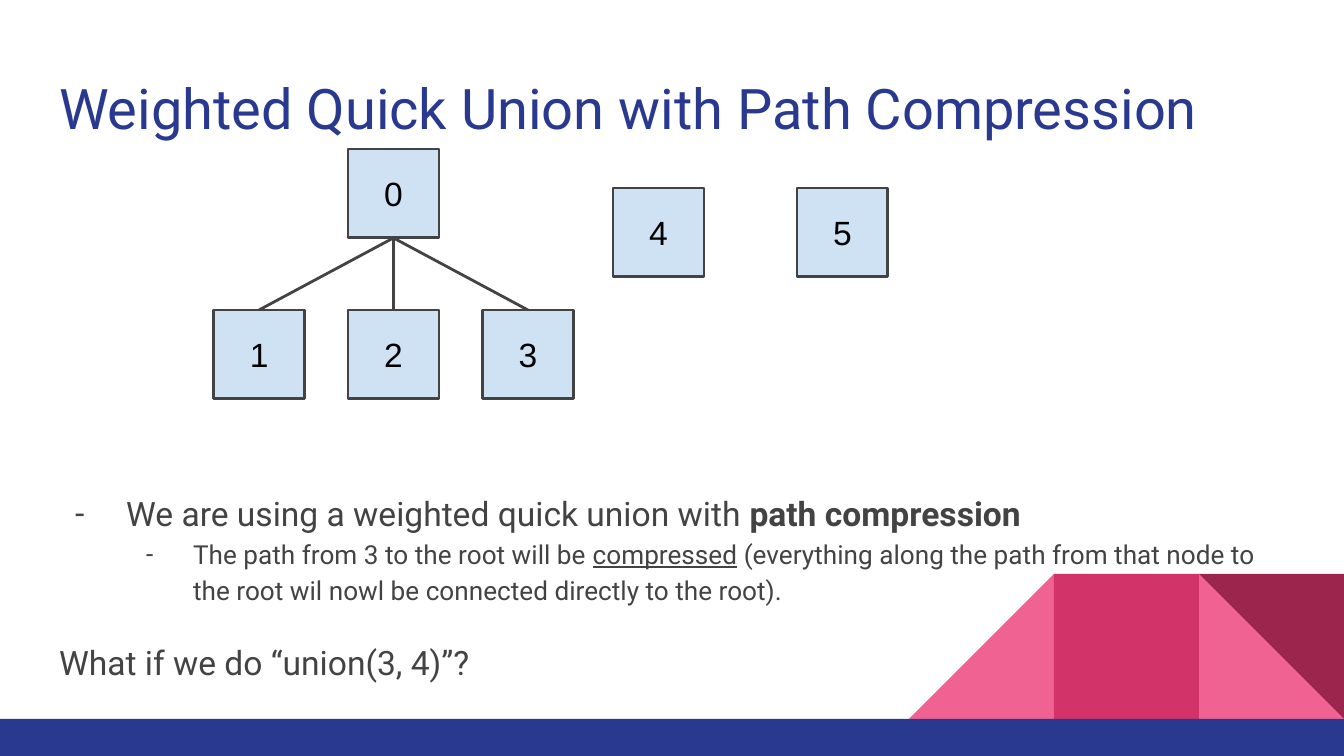
from lxml import etree
from pptx import Presentation
from pptx import util as u
from pptx.dml.color import RGBColor
from pptx.enum import shapes, text
from pptx.oxml.ns import qn

# Content
TITLE = "Weighted Quick Union with Path Compression"
# (level, size, dash, [(words, style)])
BODY = [
    (0, 18, True, [("We are using a weighted quick union with ", ""),
                   ("path compression", "bold")]),
    (1, 14, True, [("The path from 3 to the root will be ", ""),
                   ("compressed", "underline"),
                   (" (everything along the path from that node to the root "
                    "wil nowl be connected directly to the root).", "")]),
    (0, 18, False, [("What if we do “union(3, 4)”?", "")]),
]
INDENT = [(67, -51), (134, -47)]  # left margin and hang by level, px
STEP, ROOT, LOW = 134.4, 348, 310
NODES = {"0": (ROOT, 149), "4": (613, 188), "5": (797, 188)}
KIDS = ["1", "2", "3"]
for i, kid in enumerate(KIDS):
    NODES[kid] = (ROOT + (i - 1) * STEP, LOW)
NODE_W, NODE_H = 91, 89
HEX = {"navy": "2A3990", "pink": "F06292", "rose": "D23369", "wine": "9C254D",
       "sky": "CFE2F3", "gray": "434343", "black": "000000"}
SIDE, DECO_X, DECO_Y = 145, 909, 574
# (column, preset, turn, colour)
DECO = [(2, "RIGHT_TRIANGLE", 0, "pink"), (0, "RIGHT_TRIANGLE", 270, "pink"),
        (1, "RECTANGLE", 0, "rose"), (2, "RIGHT_TRIANGLE", 180, "wine")]


def px(n):
    return u.Emu(round(n * 914400 / 134.4))


def rgb(name):
    return RGBColor.from_string(HEX[name])


def shape(kind, x, y, w, h, fill):
    s = slide.shapes.add_shape(getattr(shapes.MSO_SHAPE, kind),
                               px(x), px(y), px(w), px(h))
    s.shadow.inherit = False
    s.fill.solid()
    s.fill.fore_color.rgb = rgb(fill)
    s.line.fill.background()
    return s


def frame(s):
    tf = s.text_frame
    tf.word_wrap = True
    tf.margin_left = tf.margin_right = u.Inches(0.1)
    tf.margin_top = tf.margin_bottom = u.Inches(0.1)
    return tf


def box(x, y, w, h):
    return frame(slide.shapes.add_textbox(px(x), px(y), px(w), px(h)))


def add(para, words, size, face, color):
    r = para.add_run()
    r.text = words
    r.font.size, r.font.name = u.Pt(size), face
    r.font.color.rgb = rgb(color)
    return r


def dash(para, level):
    left, hang = INDENT[level]
    pr = para._p.get_or_add_pPr()
    pr.set("marL", str(px(left)))
    pr.set("indent", str(px(hang)))
    tint = etree.SubElement(pr, qn("a:buClr"))
    etree.SubElement(tint, qn("a:srgbClr"), val=HEX["gray"])
    etree.SubElement(pr, qn("a:buFont"), typeface="Roboto")
    etree.SubElement(pr, qn("a:buChar"), char="-")


def edge(line):
    line.color.rgb = rgb("gray")
    line.width = u.Pt(1.5)


deck = Presentation()
deck.slide_width, deck.slide_height = px(1344), px(756)
slide = deck.slides.add_slide(deck.slide_layouts[6])

# Corner pattern and bottom bar
for col, kind, turn, color in DECO:
    part = shape(kind, DECO_X + col * SIDE, DECO_Y, SIDE, SIDE, color)
    part.rotation = turn
shape("RECTANGLE", 0, 719, 1344, 37, "navy")

# Body
tf = box(46, 474, 1253, 40)
for i, (level, size, mark, runs) in enumerate(BODY):
    para = tf.paragraphs[0] if i == 0 else tf.add_paragraph()
    para.level = level
    if mark:
        dash(para, level)
    else:
        para.space_before = para.space_after = u.Pt(16)
    para.line_spacing = 1.15
    for words, style in runs:
        r = add(para, words, size, "Roboto", "gray")
        if style:
            setattr(r.font, style, True)

# Title
add(box(46, 60, 1253, 89).paragraphs[0], TITLE, 30, "Roboto", "navy")

# Tree nodes
made = {}
for name, (x, y) in NODES.items():
    node = made[name] = shape("RECTANGLE", x, y, NODE_W, NODE_H, "sky")
    edge(node.line)
    tf = frame(node)
    tf.vertical_anchor = text.MSO_ANCHOR.MIDDLE
    tf.paragraphs[0].alignment = text.PP_ALIGN.CENTER
    add(tf.paragraphs[0], name, 18, "Arial", "black")

# Links from the root to its children
for kid in KIDS:
    link = slide.shapes.add_connector(shapes.MSO_CONNECTOR.STRAIGHT, 0, 0, 0, 0)
    link.begin_connect(made["0"], 2)
    link.end_connect(made[kid], 0)
    edge(link.line)
    etree.SubElement(link._element.spPr, qn("a:effectLst"))

deck.save("out.pptx")
